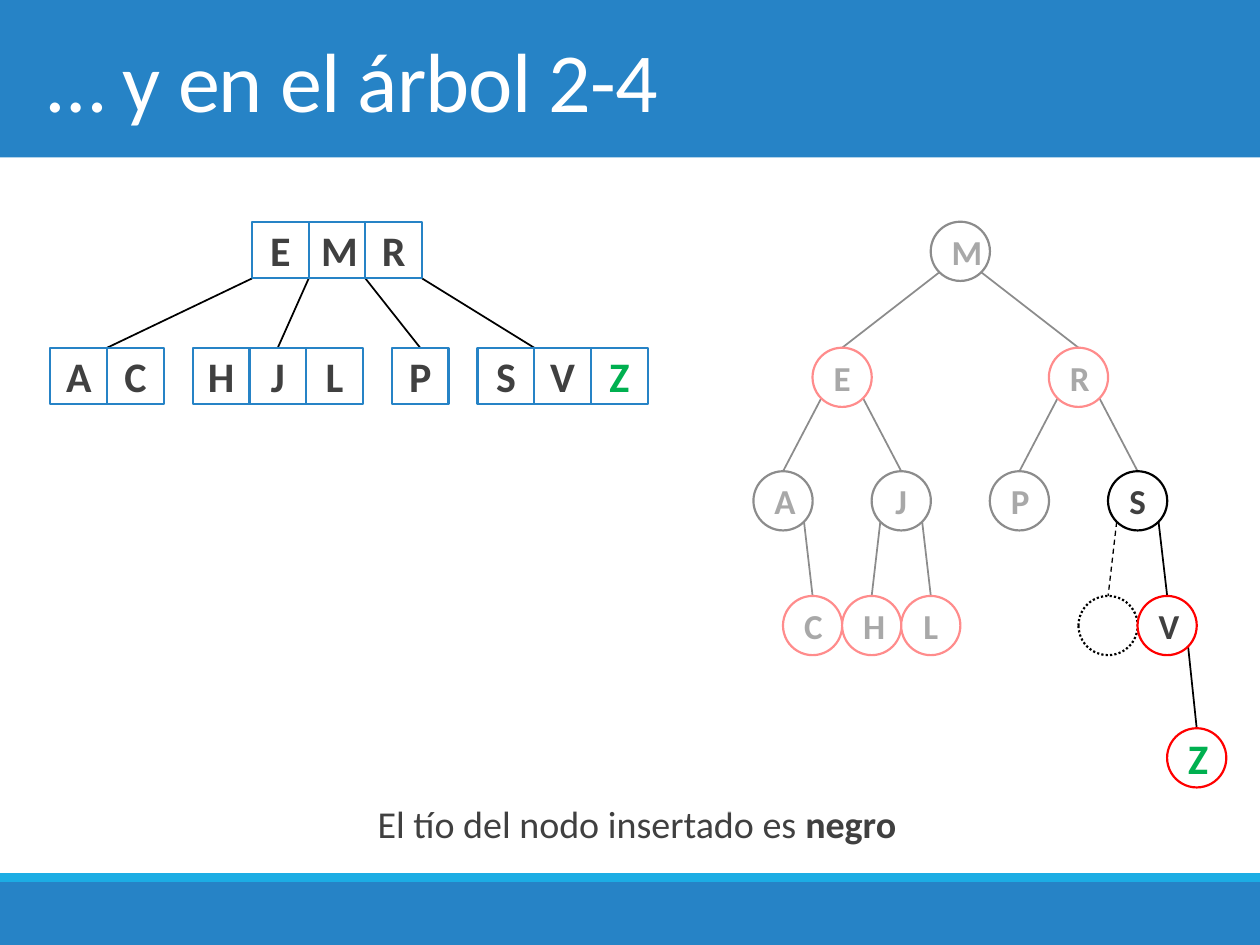
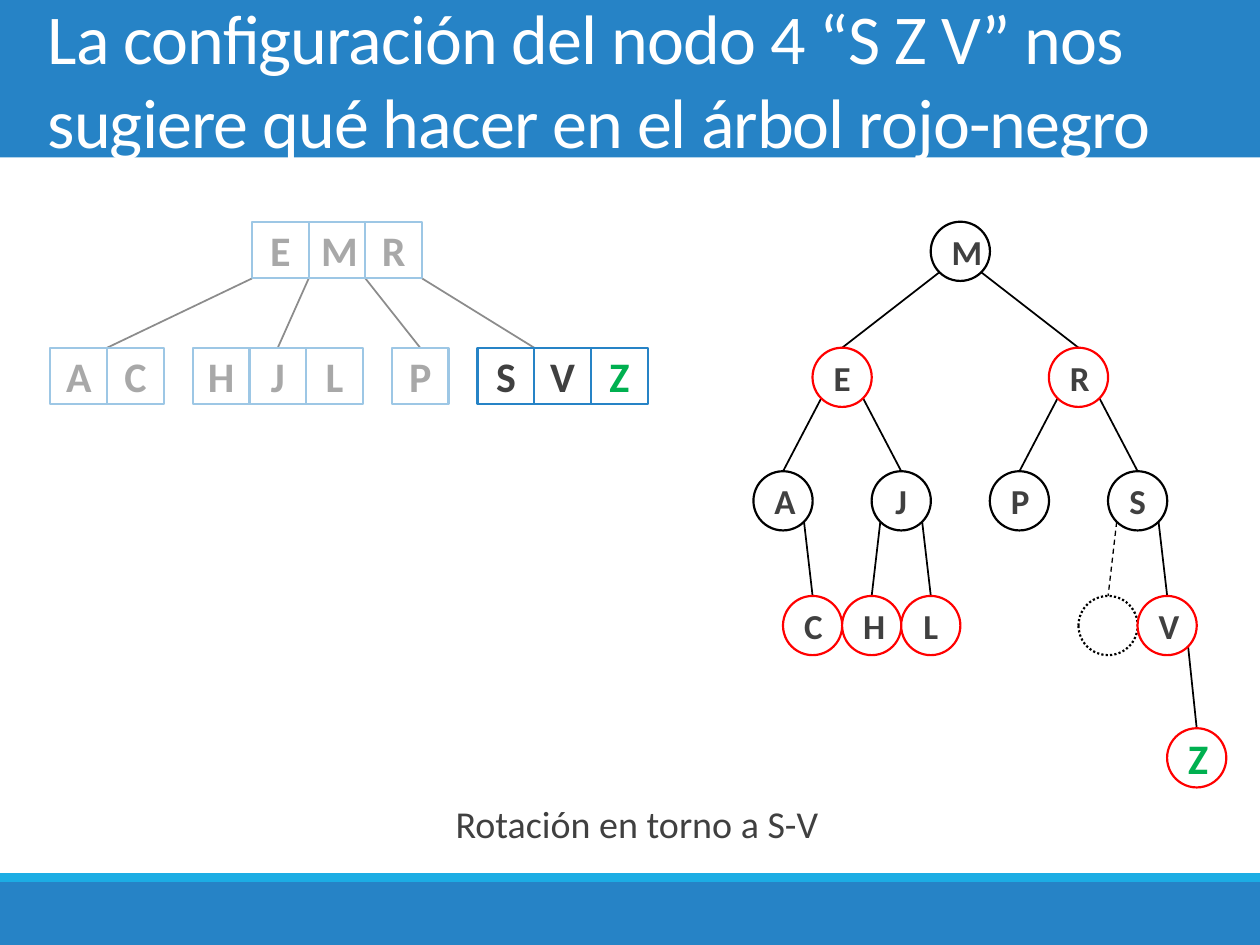
import pptx
import pptx.util
import pptx.dml.color
import pptx.enum.dml
import pptx.enum.shapes
import pptx.enum.text
import pptx.oxml.ns
import lxml.etree

COLORS = {"band": "2683C6", "stripe": "1CADE4", "white": "FFFFFF", "black": "000000",
          "red": "FF0000", "text": "404040", "inserted": "00B050"}
FONT = "Calibri"
WIDTH, HEIGHT = 10, 7.5
MARGIN, TEXT_WIDTH = 0.28, 9.45
BANDS = [("band", 0, 1.25), ("band", 7, 0.5), ("stripe", 6.93, 0.07)]  # color, top, height
HIGHLIGHT = {"S", "V", "Z", ""}
INSERTED = "Z"

# 2-4 tree: keys of each child and where its edge lands, in squares from its left
ROOT_KEYS = "EMR"
CHILDREN = [("AC", 1), ("HJL", 1.5), ("P", 0.5), ("SVZ", 1)]
SQUARE, GAP = 0.45, 0.23
ROOT_LEFT, CHILD_LEFT = 2, 0.4

# Red-black tree: key -> half-node column, row, line color, parent
NODES = {
    "M": (6, 0, "black", None),
    "E": (2, 1, "red", "M"), "R": (10, 1, "red", "M"),
    "A": (0, 2, "black", "E"), "J": (4, 2, "black", "E"),
    "P": (8, 2, "black", "R"), "S": (12, 2, "black", "R"),
    "C": (1, 3, "red", "A"), "H": (3, 3, "red", "J"), "L": (5, 3, "red", "J"),
    "": (11, 3, "black", "S"), "V": (13, 3, "red", "S"),
    "Z": (14, 4, "red", "V"),
}
ROW_TOPS = [1.76, 2.76, 3.74, 4.73, 5.78]
DIAMETER, COLUMN, TREE_LEFT = 0.47, 0.2345, 5.98

SLIDES = [
    {"title": "… y en el árbol 2-4", "size": 48,
     "caption": [("El tío del nodo insertado es ", False), ("negro", True)],
     "faded": "red-black", "veil": (5.65, 1.67, 4.28, 4.78)},
    {"title": "La configuración del nodo 4 “S Z V” nos sugiere qué hacer en el árbol rojo-negro",
     "size": 40, "caption": [("Rotación en torno a S-V", False)],
     "faded": "2-4", "veil": (0.25, 1.42, 5.19, 4.78)},
]

SHAPE = pptx.enum.shapes.MSO_SHAPE
DASH = pptx.enum.dml.MSO_LINE
ALIGN = pptx.enum.text.PP_ALIGN
ANCHOR = pptx.enum.text.MSO_ANCHOR
Pt = pptx.util.Pt


def inches(*values):
    """Convert a box or a point to slide units."""
    return [pptx.util.Inches(value) for value in values]


def color(name):
    """Look up a named color."""
    return pptx.dml.color.RGBColor.from_string(COLORS[name])


def add_run(paragraph, text, size, color_name, bold=False):
    """Add one styled run and return it."""
    run = paragraph.add_run()
    run.text = text
    run.font.name, run.font.size, run.font.bold = FONT, Pt(size), bold
    run.font.color.rgb = color(color_name)
    return run


def add_filled(slide, kind, box, fill, line=None):
    """Add a preset shape with a plain fill and an optional outline."""
    shape = slide.shapes.add_shape(kind, *inches(*box))
    shape.shadow.inherit = False
    shape.fill.solid()
    shape.fill.fore_color.rgb = color(fill)
    if line:
        shape.line.color.rgb = color(line)
        shape.line.width = Pt(1.25)
    else:
        shape.line.fill.background()
    return shape


def add_key(slide, kind, box, key, line, size):
    """Add a tree cell that holds one key."""
    shape = add_filled(slide, kind, box, "white", line)
    if not key:
        shape.line.dash_style = DASH.ROUND_DOT
        return
    frame = shape.text_frame
    frame.vertical_anchor = ANCHOR.MIDDLE
    frame.word_wrap = True
    paragraph = frame.paragraphs[0]
    paragraph.alignment = ALIGN.CENTER
    inserted = key == INSERTED
    add_run(paragraph, key, 24 if inserted else size,
            "inserted" if inserted else "text", True)


def add_edge(slide, start, end, dashed=False):
    """Join two points with a thin black line."""
    edge = slide.shapes.add_connector(
        pptx.enum.shapes.MSO_CONNECTOR.STRAIGHT, *inches(*start, *end))
    edge.line.color.rgb = color("black")
    edge.line.width = Pt(0.75 if dashed else 1)
    if dashed:
        edge.line.dash_style = DASH.DASH
    lxml.etree.SubElement(edge._element.spPr, pptx.oxml.ns.qn("a:effectLst"))


def add_text(slide, top, height, anchor):
    """Add a wrapping text box across the slide and return its paragraph."""
    box = slide.shapes.add_textbox(*inches(MARGIN, top, TEXT_WIDTH, height))
    box.text_frame.word_wrap = True
    box.text_frame.vertical_anchor = anchor
    return box.text_frame.paragraphs[0]


def add_frame(slide, content):
    """Add bands, title and caption."""
    for name, top, height in BANDS:
        add_filled(slide, SHAPE.RECTANGLE, (0, top, WIDTH, height), name)
    title = add_text(slide, 0, BANDS[0][2], ANCHOR.MIDDLE)
    run = add_run(title, content["title"], content["size"], "white")
    run._r.get_or_add_rPr().set("spc", "-50")
    caption = add_text(slide, 6.2, 0.57, ANCHOR.TOP)
    caption.alignment = ALIGN.CENTER
    caption.line_spacing = 1.3
    caption.space_before, caption.space_after = Pt(12), Pt(2)
    caption._p.get_or_add_pPr().set("marL", str(pptx.util.Inches(0.1)))
    for text, bold in content["caption"]:
        add_run(caption, text, 21.7, "text", bold)


def add_veil(slide, box):
    """Cover an area with translucent white."""
    veil = add_filled(slide, SHAPE.RECTANGLE, box, "white")
    fill = veil._element.spPr.find(".//" + pptx.oxml.ns.qn("a:srgbClr"))
    lxml.etree.SubElement(fill, pptx.oxml.ns.qn("a:alpha")).set("val", "55000")


def add_squares(slide, keys, left, top, shown):
    """Draw the shown keys of one 2-4 node as adjoining squares."""
    for index, key in enumerate(keys):
        if key in shown:
            box = (left + index * SQUARE, top, SQUARE, SQUARE)
            add_key(slide, SHAPE.RECTANGLE, box, key, "band", 24)


def add_two_four_tree(slide, shown):
    """Draw the shown keys of the 2-4 tree, with edges when its root shows."""
    root_top, child_top = ROW_TOPS[:2]
    left = CHILD_LEFT
    for index, (keys, landing) in enumerate(CHILDREN):
        if ROOT_KEYS[0] in shown:
            add_edge(slide, (ROOT_LEFT + index * SQUARE, root_top + SQUARE),
                     (left + landing * SQUARE, child_top))
        add_squares(slide, keys, left, child_top, shown)
        left += len(keys) * SQUARE + GAP
    add_squares(slide, ROOT_KEYS, ROOT_LEFT, root_top, shown)


def add_red_black_tree(slide, shown):
    """Draw the shown nodes and the edges that leave them."""
    radius = DIAMETER / 2
    corner = radius * 0.5 ** 0.5
    for key, (column, row, _, parent) in NODES.items():
        if parent in shown:
            parent_column, parent_row = NODES[parent][:2]
            side = 1 if column > parent_column else -1
            start = (TREE_LEFT + parent_column * COLUMN + radius + side * corner,
                     ROW_TOPS[parent_row] + radius + corner)
            end = (TREE_LEFT + column * COLUMN + radius, ROW_TOPS[row])
            add_edge(slide, start, end, dashed=not key)
    for key, (column, row, line, _) in NODES.items():
        if key in shown:
            box = (TREE_LEFT + column * COLUMN, ROW_TOPS[row], DIAMETER, DIAMETER)
            add_key(slide, SHAPE.OVAL, box, key, line, 20)


TREES = {"2-4": add_two_four_tree, "red-black": add_red_black_tree}


def add_slide(presentation, content):
    """Build one slide: a full tree beside one faded around the highlight."""
    slide = presentation.slides.add_slide(presentation.slide_layouts[6])
    add_frame(slide, content)
    every_key = set(NODES)
    for name, draw in TREES.items():
        if name == content["faded"]:
            draw(slide, every_key - HIGHLIGHT)
            add_veil(slide, content["veil"])
            draw(slide, HIGHLIGHT)
        else:
            draw(slide, every_key)


presentation = pptx.Presentation()
presentation.slide_width, presentation.slide_height = inches(WIDTH, HEIGHT)
for slide_content in SLIDES:
    add_slide(presentation, slide_content)
presentation.save("out.pptx")
